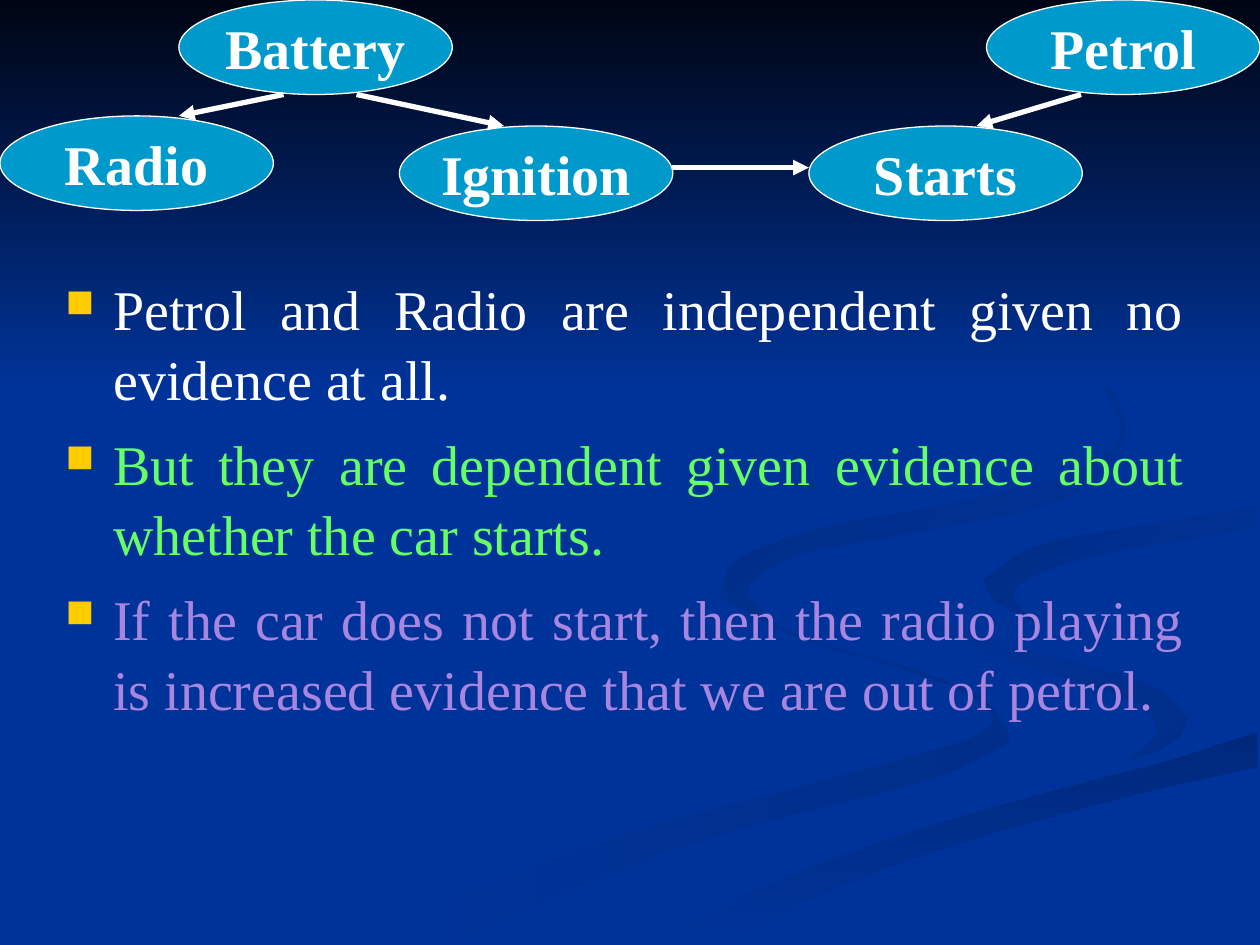
from lxml import etree
from pptx import Presentation
from pptx.dml.color import RGBColor
from pptx.enum.shapes import MSO_CONNECTOR as Connector, MSO_SHAPE as Shape
from pptx.enum.text import MSO_ANCHOR as Anchor, PP_ALIGN as Align
from pptx.oxml.ns import qn
from pptx.util import Inches, Pt

FONT = "Times New Roman"
BLUE = RGBColor(0x00, 0x33, 0x99)
NIGHT = RGBColor(0x00, 0x05, 0x14)
SHADE_LEFT = RGBColor(0x00, 0x2E, 0x8A)
SHADE_LOW = RGBColor(0x00, 0x29, 0x7C)
SHADE_RIGHT = RGBColor(0x00, 0x2C, 0x85)
SHADE_TOP = RGBColor(0x00, 0x2B, 0x81)
NODE_FILL = RGBColor(0x00, 0x99, 0xCC)
WHITE = RGBColor(0xFF, 0xFF, 0xFF)
GREEN = RGBColor(0x66, 0xFF, 0x66)
LILAC = RGBColor(0xA8, 0x86, 0xE0)

deck = Presentation()
deck.slide_width, deck.slide_height = Inches(10), Inches(7.5)
page = deck.slides.add_slide(deck.slide_layouts[6])
page.background.fill.solid()
page.background.fill.fore_color.rgb = BLUE


def add_span(para, text, color, bold=False):
    span = para.add_run()
    span.text = text
    span.font.name, span.font.size = FONT, Pt(32)
    span.font.bold, span.font.color.rgb = bold, color


def smooth(edge, steps=4):
    """Run a Catmull-Rom curve through the points of an open edge."""
    padded = [edge[0], *edge, edge[-1]]
    curve = [edge[0]]
    for quad in zip(padded, padded[1:], padded[2:], padded[3:]):
        for step in range(1, steps + 1):
            t = step / steps
            curve.append(tuple(
                b + t * (c - a + t * (2 * a - 5 * b + 4 * c - d
                                      + t * (3 * (b - c) + d - a))) / 2
                for a, b, c, d in zip(*quad)))
    return curve


# Edges shared by neighbouring ribbons, in 1/100 inch
bend = [(724, 464), (734, 483), (792, 509), (870, 530), (920, 547), (943, 570)]
low_edge = [(519, 747), (630, 693), (765, 647), (904, 610), (998, 581)]
high_edge = [(781, 460), (822, 434), (899, 418), (998, 402)]

# Background ribbons: start colour, end colour, angle, edges
ribbons = [
    (SHADE_LEFT, BLUE, 180, [
        [(781, 553), (731, 533), (642, 507), (583, 477), (575, 459)],
        [(570, 472), (631, 505), (741, 539), (786, 566), (767, 587), (652, 620),
         (499, 661), (376, 707), (300, 749)],
        [(361, 749), (466, 700), (594, 656), (740, 618), (795, 592), (800, 581),
         (781, 553)]]),
    (SHADE_LEFT, BLUE, 135, [
        bend,
        [(943, 570), (932, 589), (894, 605)],
        [(894, 605), (918, 581), (900, 557), (838, 536), (766, 512), (734, 488),
         (724, 464)]]),
    (SHADE_LOW, BLUE, 270, [
        low_edge,
        [(998, 609), (903, 630), (752, 672), (649, 710), (571, 749)],
        [(503, 749)]]),
    (BLUE, BLUE, 0, [
        bend,
        [(943, 570), (926, 593), (843, 618), (704, 655), (573, 703), (477, 749)],
        [(503, 749)],
        low_edge,
        [(999, 538), (904, 519), (832, 498), (786, 473), (781, 460)],
        high_edge,
        [(999, 387), (920, 401), (808, 417), (742, 439), (724, 464)]]),
    (BLUE, SHADE_RIGHT, 135, [
        high_edge,
        [(998, 420), (878, 439), (816, 459), (805, 476), (826, 496)],
        [(826, 496), (791, 478), (781, 460)]]),
    (BLUE, SHADE_TOP, 135, [
        [(683, 430), (786, 412), (855, 391), (894, 344), (864, 291), (762, 233)],
        [(762, 233), (846, 279), (889, 335), (861, 370), (763, 398), (649, 420),
         (584, 446), (580, 474), (622, 500)],
        [(622, 500), (593, 470), (624, 444), (683, 430)]]),
    (NIGHT, BLUE, 270, [[(0, 0)], [(0, 308)], [(1000, 308)], [(1000, 0)]]),
]
for first, last, angle, edges in ribbons:
    points = [point for edge in edges
              for point in (smooth(edge) if len(edge) > 1 else edge)]
    builder = page.shapes.build_freeform(*points[0], scale=Inches(0.01))
    builder.add_line_segments(points[1:], close=True)
    ribbon = builder.convert_to_shape()
    ribbon.shadow.inherit = False
    ribbon.line.fill.background()
    if first == last:
        ribbon.fill.solid()
        ribbon.fill.fore_color.rgb = first
    else:
        ribbon.fill.gradient()
        ribbon.fill.gradient_angle = angle
        for stop, color in zip(ribbon.fill.gradient_stops, (first, last)):
            stop.color.rgb = color

# Bulleted statements
box = page.shapes.add_textbox(Inches(0.42), Inches(2.1), Inches(9.08), Inches(5.08))
frame = box.text_frame
frame.word_wrap = True
statements = [
    ("Petrol and Radio are independent given no evidence at all.", WHITE),
    ("But they are dependent given evidence about whether the car starts.", GREEN),
    ("If the car does not start, then the radio playing is increased evidence "
     "that we are out of petrol.", LILAC),
]
for index, (text, color) in enumerate(statements):
    para = frame.add_paragraph() if index else frame.paragraphs[0]
    props = para._p.get_or_add_pPr()
    props.set("marL", str(Inches(0.38)))
    props.set("indent", str(-Inches(0.38)))
    bullet_color = etree.SubElement(props, qn("a:buClr"))
    etree.SubElement(bullet_color, qn("a:srgbClr"), val="FFCC00")
    etree.SubElement(props, qn("a:buSzPct"), val="70000")
    etree.SubElement(props, qn("a:buChar"), char="■")
    para.alignment = Align.JUSTIFY
    para.line_spacing = 1.05
    if index:
        para.space_before = Pt(8)
    add_span(para, text, color)

# Network nodes
nodes = [("Battery", 1.42, 0), ("Radio", 0, 0.92), ("Ignition", 3.17, 1),
         ("Starts", 6.42, 1), ("Petrol", 7.83, 0)]
for name, left, top in nodes:
    node = page.shapes.add_shape(
        Shape.OVAL, Inches(left), Inches(top), Inches(2.17), Inches(0.75))
    node.shadow.inherit = False
    node.fill.solid()
    node.fill.fore_color.rgb = NODE_FILL
    node.line.color.rgb, node.line.width = WHITE, Pt(0.75)
    node.text_frame.word_wrap = False
    node.text_frame.vertical_anchor = Anchor.MIDDLE
    para = node.text_frame.paragraphs[0]
    para.alignment = Align.CENTER
    add_span(para, name, WHITE, bold=True)

# Arrows between the nodes
arrows = [(2.25, 0.75, 1.42, 0.92), (2.83, 0.75, 4, 1),
          (5.33, 1.33, 6.42, 1.33), (8.58, 0.75, 7.75, 1)]
for ends in arrows:
    arrow = page.shapes.add_connector(Connector.STRAIGHT, *map(Inches, ends))
    arrow.line.color.rgb, arrow.line.width = WHITE, Pt(3)
    etree.SubElement(arrow.line._get_or_add_ln(), qn("a:tailEnd"), type="triangle")
    etree.SubElement(arrow._element.spPr, qn("a:effectLst"))

deck.save("out.pptx")
